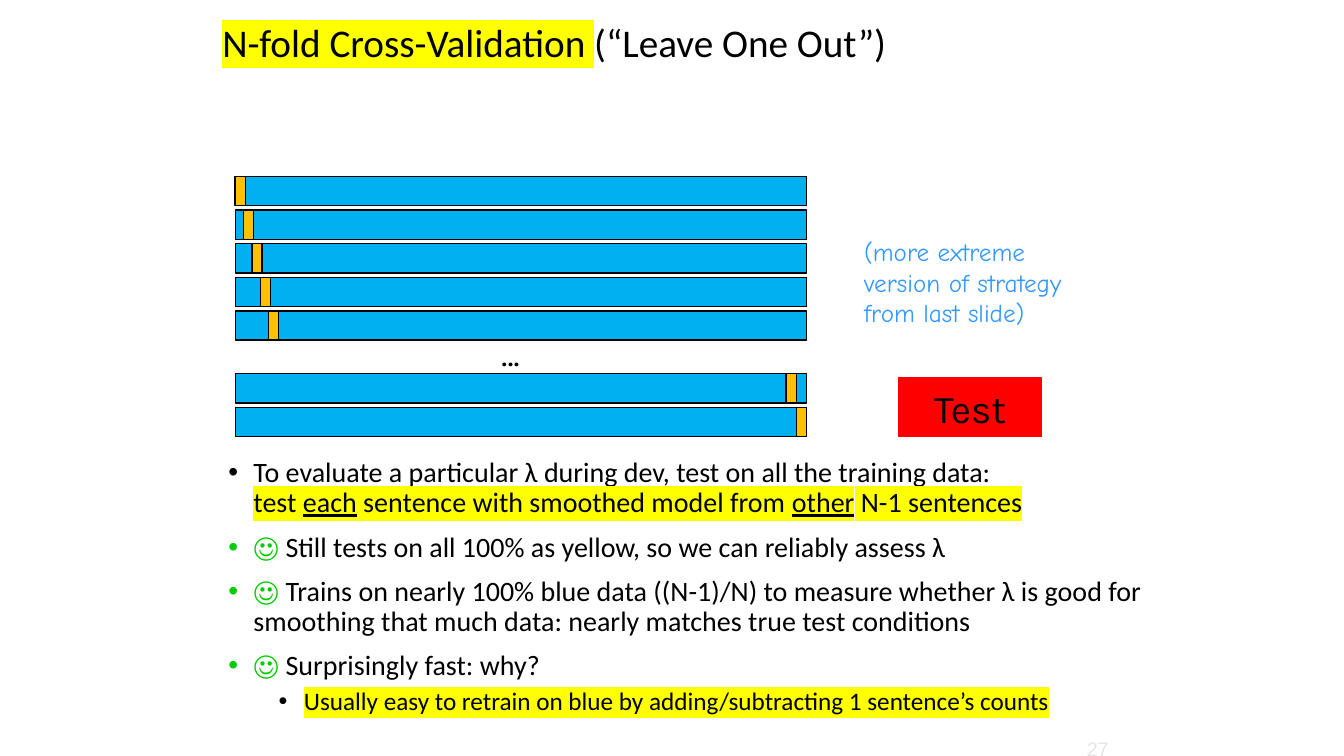
"""Build the N-fold cross-validation slide on a grid of 160 by 90 units."""
from lxml import etree
from pptx import Presentation
from pptx.dml.color import RGBColor
from pptx.enum.shapes import MSO_SHAPE
from pptx.enum.text import MSO_ANCHOR, PP_ALIGN
from pptx.oxml.ns import qn
from pptx.util import Inches, Pt

RECTANGLE = MSO_SHAPE.RECTANGLE
TOP, MIDDLE = MSO_ANCHOR.TOP, MSO_ANCHOR.MIDDLE
CENTER = PP_ALIGN.CENTER
UNIT = Inches(1 / 12)
BLACK, BLUE, ORANGE, RED = "000000", "00B0F0", "FFC000", "FF0000"
GREEN, YELLOW, SKY, GREY = "00CC00", "FFFF00", "3399FF", "E7E6E6"


def color(target, value):
    target.rgb = RGBColor.from_string(value)


def write(paragraph, text, size=20, font="Calibri", ink=BLACK, marker=None,
          bold=False, italic=False, underline=False):
    for number, line in enumerate(text.split("\n")):
        if number:
            paragraph.add_line_break()
        if not line:
            continue
        run = paragraph.add_run()
        run.text = line
        style = run.font
        style.size, style.name = Pt(size), font
        style.bold, style.italic, style.underline = bold, italic, underline
        color(style.fill.solid() or style.fill.fore_color, ink)
        if marker:
            highlight = etree.Element(qn("a:highlight"))
            etree.SubElement(highlight, qn("a:srgbClr"), val=marker)
            run._r.rPr.find(qn("a:solidFill")).addnext(highlight)


deck = Presentation()
deck.slide_width, deck.slide_height = 160 * UNIT, 90 * UNIT
slide = deck.slides.add_slide(deck.slide_layouts[6])

bar_left, bar_width, bar_height, fold_width = 28, 68, 3.5, 1.2
bar_right = bar_left + bar_width
folds = [(21 + 4 * i, bar_left + i) for i in range(5)]
folds += [(44.5, bar_right - 2 * fold_width), (48.5, bar_right - fold_width)]
blocks = []
for row, held_out in folds:
    blocks.append((bar_left, row, bar_width, bar_height, BLUE, BLACK))
    blocks.append((held_out, row, fold_width, bar_height, ORANGE, BLACK))
blocks.append((107, 45, 17, 7, RED, RED))

for left, top, width, height, fill, edge in blocks:
    block = slide.shapes.add_shape(
        RECTANGLE, *(int(n * UNIT) for n in (left, top, width, height)))
    block.shadow.inherit = False
    block.fill.solid()
    color(block.fill.fore_color, fill)
    block.line.fill.solid()
    color(block.line.color, edge)
    block.line.width = Pt(1)

test_label = block.text_frame.paragraphs[0]
test_label.alignment = CENTER
block.text_frame.vertical_anchor = MIDDLE
write(test_label, "Test", size=28, font="Karla")

frames = []
for left, top, width, height, anchor in [
    (25.3, 0.7, 112.7, 9.2, MIDDLE),
    (26, 54, 114, 35, TOP),
    (58.5, 39, 5.7, 6, TOP),
    (101.7, 27.6, 29.4, 12, TOP),
    (128.2, 87.1, 6, 2.9, TOP),
]:
    area = slide.shapes.add_textbox(
        *(int(n * UNIT) for n in (left, top, width, height)))
    area.text_frame.word_wrap = True
    area.text_frame.vertical_anchor = anchor
    frames.append(area.text_frame)
title, body, ellipsis, remark, page = frames

heading = title.paragraphs[0]
heading.line_spacing = 0.9
write(heading, "N-fold Cross-Validation ", size=28, marker=YELLOW)
write(heading, "(“Leave One Out”)", size=28)
write(ellipsis.paragraphs[0], "…", size=24, font="Karla")
write(remark.paragraphs[0],
      "(more extreme\nversion of strategy\nfrom last slide)",
      size=18, font="Comic Neue", ink=SKY)
write(page.paragraphs[0], "27", size=14, font="Arial", ink=GREY)

marked = {"marker": YELLOW}
smile = ("☺ ", {"ink": GREEN, "bold": True})
points = [
    (0, [("To evaluate a particular λ during dev, "
          "test on all the training data:\n", {}),
         ("test ", marked),
         ("each", {"underline": True, **marked}),
         (" sentence with smoothed model from ", marked),
         ("other", {"underline": True, **marked}),
         (" ", {"italic": True, **marked}),
         ("N-1 sentences", marked)]),
    (0, [smile, ("Still tests on all 100% as yellow, "
                 "so we can reliably assess λ", {})]),
    (0, [smile, ("Trains on nearly 100% blue data ((N-1)/N) to measure "
                 "whether λ is good for smoothing that much data: "
                 "nearly matches true test conditions", {})]),
    (0, [smile, ("Surprisingly fast: why?", {})]),
    (1, [("Usually easy to retrain on blue by adding/subtracting "
          "1 sentence’s counts", {"size": 18, **marked})]),
]
for number, (level, pieces) in enumerate(points):
    point = body.add_paragraph() if number else body.paragraphs[0]
    point.level = level
    point.line_spacing = 0.9
    point.space_before = Pt(5 if level else 10)
    layout = point._p.get_or_add_pPr()
    layout.set("marL", str((3 + 6 * level) * UNIT))
    layout.set("indent", str(-3 * UNIT))
    etree.SubElement(layout, qn("a:buFont"), typeface="Arial")
    etree.SubElement(layout, qn("a:buChar"), char="•")
    for text, look in pieces:
        write(point, text, **look)

deck.save("out.pptx")
